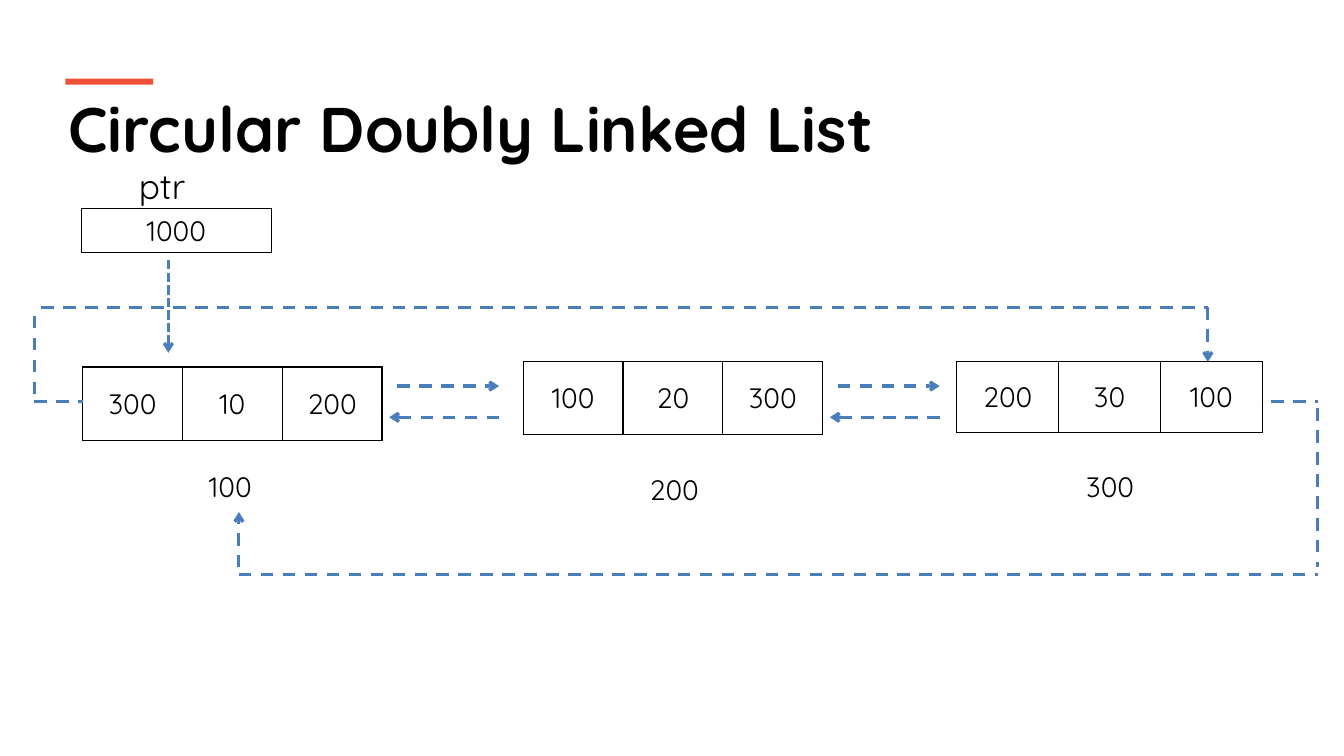
import pptx
import pptx.util
import pptx.dml.color
import pptx.enum.dml
import pptx.enum.shapes
import pptx.enum.text
from dataclasses import dataclass
from lxml import etree


@dataclass(frozen=True)
class Theme:
    font: str = "Quicksand"
    text: str = "000000"
    accent: str = "F05136"
    link: str = "4A7EBB"
    pointer: str = "4B7EBC"
    title_size: int = 45
    label_size: int = 25
    value_size: int = 20
    link_width: float = 2.25
    border_width: float = 1


THEME = Theme()
SLIDE_SIZE = (13.33, 7.5)
TITLE = "Circular Doubly Linked List"
POINTER = {"name": "ptr", "value": "1000"}

# Left, top, cell width, height, values (previous, data, next), address, address top
NODES = [
    (0.82, 3.64, 0.99, 0.73, ("300", "10", "200"), "100", 4.61),
    (5.19, 3.59, 0.99, 0.72, ("100", "20", "300"), "200", 4.64),
    (9.49, 3.59, 1.01, 0.70, ("200", "30", "100"), "300", 4.61),
]
NEXT_Y, PREVIOUS_Y = 3.83, 4.14
OUTER_Y = 3.98
RING_TOP, RING_BOTTOM = 3.05, 5.7
RING_LEFT, RING_RIGHT = 0.34, 13.07
CORNER_GAP = 0.07
FIRST_ENTRY_X, LAST_ENTRY_X = 2.37, 11.98
ADDRESS_WIDTH = 0.7

DASH = pptx.enum.dml.MSO_LINE.DASH
SQUARE_DASH = pptx.enum.dml.MSO_LINE.SQUARE_DOT
inches = pptx.util.Inches
qn = pptx.oxml.ns.qn


def colour(value):
    return pptx.dml.color.RGBColor.from_string(value)


def write_text(frame, text, size=THEME.value_size, bold=False, centred=False):
    paragraph = frame.paragraphs[0]
    if centred:
        paragraph.alignment = pptx.enum.text.PP_ALIGN.CENTER
    run = paragraph.add_run()
    run.text = text
    run.font.name = THEME.font
    run.font.size = pptx.util.Pt(size)
    run.font.bold = bold
    run.font.color.rgb = colour(THEME.text)


def add_label(slide, box, text, **text_format):
    shape = slide.shapes.add_textbox(*map(inches, box))
    shape.text_frame.word_wrap = True
    write_text(shape.text_frame, text, **text_format)


def add_border(cell):
    properties = cell._tc.get_or_add_tcPr()
    for position, side in enumerate(("lnL", "lnR", "lnT", "lnB")):
        line = etree.Element(qn("a:" + side), w=str(pptx.util.Pt(THEME.border_width)))
        fill = etree.SubElement(line, qn("a:solidFill"))
        etree.SubElement(fill, qn("a:srgbClr"), val=THEME.text)
        properties.insert(position, line)


def add_cells(slide, left, top, cell_width, height, values, middle=True):
    """Draw one row of bordered memory cells."""
    width = cell_width * len(values)
    frame = slide.shapes.add_table(1, len(values), *map(inches, (left, top, width, height)))
    table = frame.table
    table.first_row = table.horz_banding = False
    for cell, value in zip(table.rows[0].cells, values):
        cell.fill.background()
        add_border(cell)
        if middle:
            cell.vertical_anchor = pptx.enum.text.MSO_ANCHOR.MIDDLE
        write_text(cell.text_frame, value, centred=True)


def add_link(slide, start, end, arrow=False, line_colour=THEME.link, dash=DASH):
    connector = slide.shapes.add_connector(
        pptx.enum.shapes.MSO_CONNECTOR.STRAIGHT, *map(inches, (*start, *end)))
    connector.line.color.rgb = colour(line_colour)
    connector.line.width = pptx.util.Pt(THEME.link_width)
    connector.line.dash_style = dash
    if arrow:
        etree.SubElement(connector.line._get_or_add_ln(), qn("a:tailEnd"), type="arrow")
    etree.SubElement(connector._element.spPr, qn("a:effectLst"))


def add_header(slide):
    add_label(slide, (0.58, 0.84, 12.18, 0.86), TITLE, size=THEME.title_size, bold=True)
    accent = slide.shapes.add_shape(
        pptx.enum.shapes.MSO_SHAPE.RECTANGLE, *map(inches, (0.65, 0.78, 0.87, 0.06)))
    accent.shadow.inherit = False
    accent.fill.solid()
    accent.fill.fore_color.rgb = colour(THEME.accent)
    accent.line.fill.background()


def add_nodes(slide):
    for left, top, cell_width, height, values, address, address_top in NODES:
        add_cells(slide, left, top, cell_width, height, values)
        centre = left + cell_width * len(values) / 2
        add_label(slide, (centre - ADDRESS_WIDTH / 2 + 0.02, address_top, ADDRESS_WIDTH, 0.44),
                  address)
    for left, _, cell_width, _, values, _, _ in NODES[:-1]:
        right = left + cell_width * len(values)
        add_link(slide, (right + 0.15, NEXT_Y), (right + 1.16, NEXT_Y), arrow=True)
        add_link(slide, (right + 1.16, PREVIOUS_Y), (right + 0.07, PREVIOUS_Y), arrow=True)


def add_ring(slide):
    """Join the two ends of the list around the nodes."""
    ring = [
        ((12.61, OUTER_Y), (RING_RIGHT, OUTER_Y), False),
        ((RING_RIGHT, OUTER_Y + CORNER_GAP), (RING_RIGHT, RING_BOTTOM - CORNER_GAP), False),
        ((FIRST_ENTRY_X, RING_BOTTOM), (RING_RIGHT, RING_BOTTOM), False),
        ((FIRST_ENTRY_X, RING_BOTTOM - CORNER_GAP), (FIRST_ENTRY_X, 5.08), True),
        ((RING_LEFT, OUTER_Y), (NODES[0][0], OUTER_Y), False),
        ((RING_LEFT, OUTER_Y - CORNER_GAP), (RING_LEFT, RING_TOP + CORNER_GAP), False),
        ((RING_LEFT + CORNER_GAP, RING_TOP), (11.51, RING_TOP), False),
        ((11.51, RING_TOP), (LAST_ENTRY_X, RING_TOP), False),
        ((LAST_ENTRY_X, RING_TOP), (LAST_ENTRY_X, NODES[-1][1]), True),
    ]
    for start, end, arrow in ring:
        add_link(slide, start, end, arrow=arrow)


def add_pointer(slide):
    add_cells(slide, 0.81, 2.07, 1.88, 0.43, [POINTER["value"]], middle=False)
    add_label(slide, (1.28, 1.58, 0.7, 0.52), POINTER["name"], size=THEME.label_size)
    add_link(slide, (1.67, 2.58), (1.67, 3.5), arrow=True,
             line_colour=THEME.pointer, dash=SQUARE_DASH)


def main():
    presentation = pptx.Presentation()
    presentation.slide_width, presentation.slide_height = map(inches, SLIDE_SIZE)
    slide = presentation.slides.add_slide(presentation.slide_layouts[6])
    add_header(slide)
    add_nodes(slide)
    add_ring(slide)
    add_pointer(slide)
    presentation.save("out.pptx")


if __name__ == "__main__":
    main()
